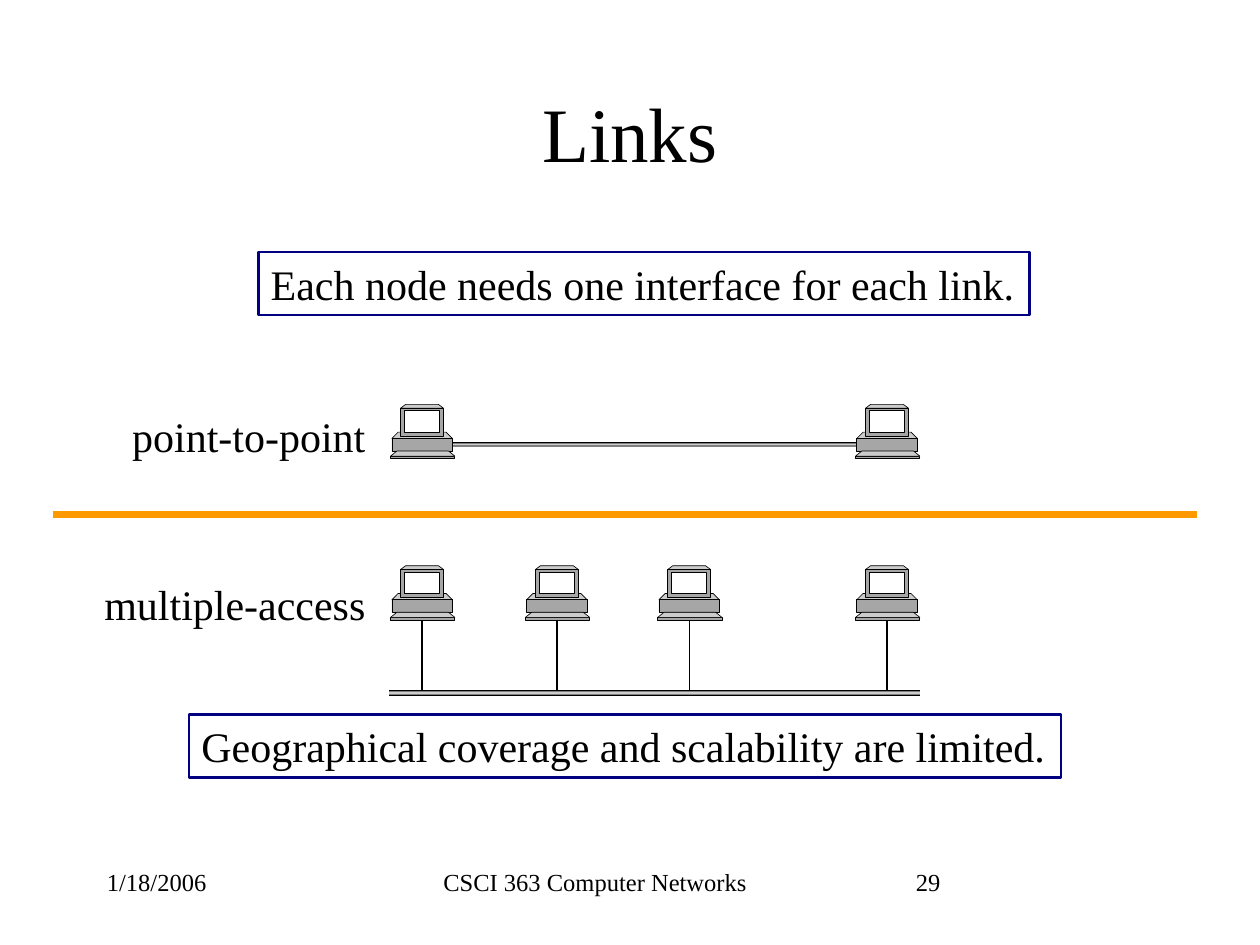
import pptx
import pptx.util
import pptx.dml.color
import pptx.enum.shapes
import pptx.enum.text
import pptx.oxml.ns
import lxml.etree

Inches = pptx.util.Inches
Pt = pptx.util.Pt
RGB = pptx.dml.color.RGBColor
BLACK = RGB(0x00, 0x00, 0x00)
WHITE = RGB(0xFF, 0xFF, 0xFF)
NAVY = RGB(0x00, 0x00, 0x80)
ORANGE = RGB(0xFF, 0x99, 0x00)
DARK = RGB(0x7F, 0x7F, 0x7F)
GRAY = RGB(0xA6, 0xA6, 0xA6)
LIGHT = RGB(0xCC, 0xCC, 0xCC)

# Content: text, left, top, width, height, style
TEXTS = [
    ("1/18/2006", 0.75, 6.83, 2.08, 0.5, "foot"),
    ("CSCI 363 Computer Networks", 3.42, 6.83, 3.17, 0.5, "foot"),
    ("29", 7.17, 6.83, 2.08, 0.5, "foot"),
    ("Links", 0.75, 0.42, 8.5, 1.25, "title"),
    ("point-to-point", 0.95, 3.21, 2.05, 0.5, "label"),
    ("multiple-access", 0.73, 4.54, 2.27, 0.5, "label"),
    ("Geographical coverage and scalability are limited.",
     1.5, 5.67, 6.92, 0.5, "note"),
    ("Each node needs one interface for each link.",
     2.05, 2, 6.12, 0.5, "note"),
]
# Size, wrap, fill, border
STYLES = {
    "foot": (14, True, None, None),
    "title": (44, True, None, None),
    "label": (24, False, WHITE, None),
    "note": (24, False, None, NAVY),
}

# Computer parts from its top left corner: left, top, width, height,
# inset of the upper corners (0 is a plain box), fill
PARTS = [
    (0.01, 0.22, 0.48, 0.05, 0.05, LIGHT),
    (0.01, 0.27, 0.48, 0.1, 0, GRAY),
    (0, 0.41, 0.51, 0.02, 0, GRAY),
    (0, 0.37, 0.51, 0.04, 0.05, LIGHT),
    (0.08, 0, 0.34, 0.03, 0.04, LIGHT),
    (0.08, 0.03, 0.34, 0.22, 0, GRAY),
    (0.11, 0.05, 0.28, 0.17, 0, WHITE),
]
HOSTS = [3.1, 4.17, 5.22, 6.79]
ROW1, ROW2 = 3.21, 4.49
DEPTH = 0.43
MID = 0.25
WIRE, BUS = 3.53, 5.5
CABLE = [(BLACK, 3), (DARK, 2.25), (LIGHT, 0.75)]

deck = pptx.Presentation()
deck.slide_width, deck.slide_height = Inches(10), Inches(7.5)
slide = deck.slides.add_slide(deck.slide_layouts[6])


def paint(shape, fill, edge, width):
    shape.shadow.inherit = False
    shape.fill.solid()
    shape.fill.fore_color.rgb = fill
    shape.line.color.rgb = edge
    shape.line.width = Pt(width)


def host(left, top):
    shapes = slide.shapes.add_group_shape().shapes
    for dx, dy, wide, high, inset, fill in PARTS:
        x, y = left + dx, top + dy
        if inset:
            dots = [(x, y + high), (x + inset, y),
                    (x + wide - inset, y), (x + wide, y + high)]
            dots = [(Inches(a), Inches(b)) for a, b in dots]
            pen = shapes.build_freeform(*dots[0])
            pen.add_line_segments(dots[1:], close=True)
            part = pen.convert_to_shape()
        else:
            part = shapes.add_shape(
                pptx.enum.shapes.MSO_SHAPE.RECTANGLE,
                Inches(x), Inches(y), Inches(wide), Inches(high))
        paint(part, fill, BLACK, 0.37)


def rule(x1, y1, x2, y2, color, width):
    line = slide.shapes.add_connector(
        pptx.enum.shapes.MSO_CONNECTOR.STRAIGHT,
        Inches(x1), Inches(y1), Inches(x2), Inches(y2))
    line.line.color.rgb = color
    line.line.width = Pt(width)
    lxml.etree.SubElement(line._element.spPr,
                          pptx.oxml.ns.qn("a:effectLst"))


def cable(x1, x2, y):
    for color, width in CABLE:
        rule(x1, y, x2, y, color, width)


def write(text, left, top, wide, high, style):
    size, wrap, fill, edge = STYLES[style]
    box = slide.shapes.add_textbox(
        Inches(left), Inches(top), Inches(wide), Inches(high))
    if fill is not None:
        box.fill.solid()
        box.fill.fore_color.rgb = fill
    if edge is not None:
        box.line.color.rgb = edge
        box.line.width = Pt(1.5)
    frame = box.text_frame
    frame.word_wrap = wrap
    if not wrap:
        frame.auto_size = pptx.enum.text.MSO_AUTO_SIZE.SHAPE_TO_FIT_TEXT
    para = frame.paragraphs[0]
    para.text = text
    if style == "title":
        frame.vertical_anchor = pptx.enum.text.MSO_ANCHOR.MIDDLE
        para.alignment = pptx.enum.text.PP_ALIGN.CENTER
    font = para.runs[0].font
    for key, value in {"name": "Times New Roman", "size": Pt(size)}.items():
        setattr(font, key, value)
    font.color.rgb = BLACK


# Shared link: hosts, drops and bus
for x in HOSTS:
    host(x, ROW2)
    rule(x + MID, ROW2 + DEPTH, x + MID, BUS - 0.01, BLACK, 0.75)
cable(3.09, 7.3, BUS)

# Direct link between two hosts
cable(3.59, 6.81, WIRE)
for x in (HOSTS[0], HOSTS[-1]):
    host(x, ROW1)

# Divider and text
rule(0.42, 4.08, 9.5, 4.08, ORANGE, 4)
for item in TEXTS:
    write(*item)

deck.save("out.pptx")
